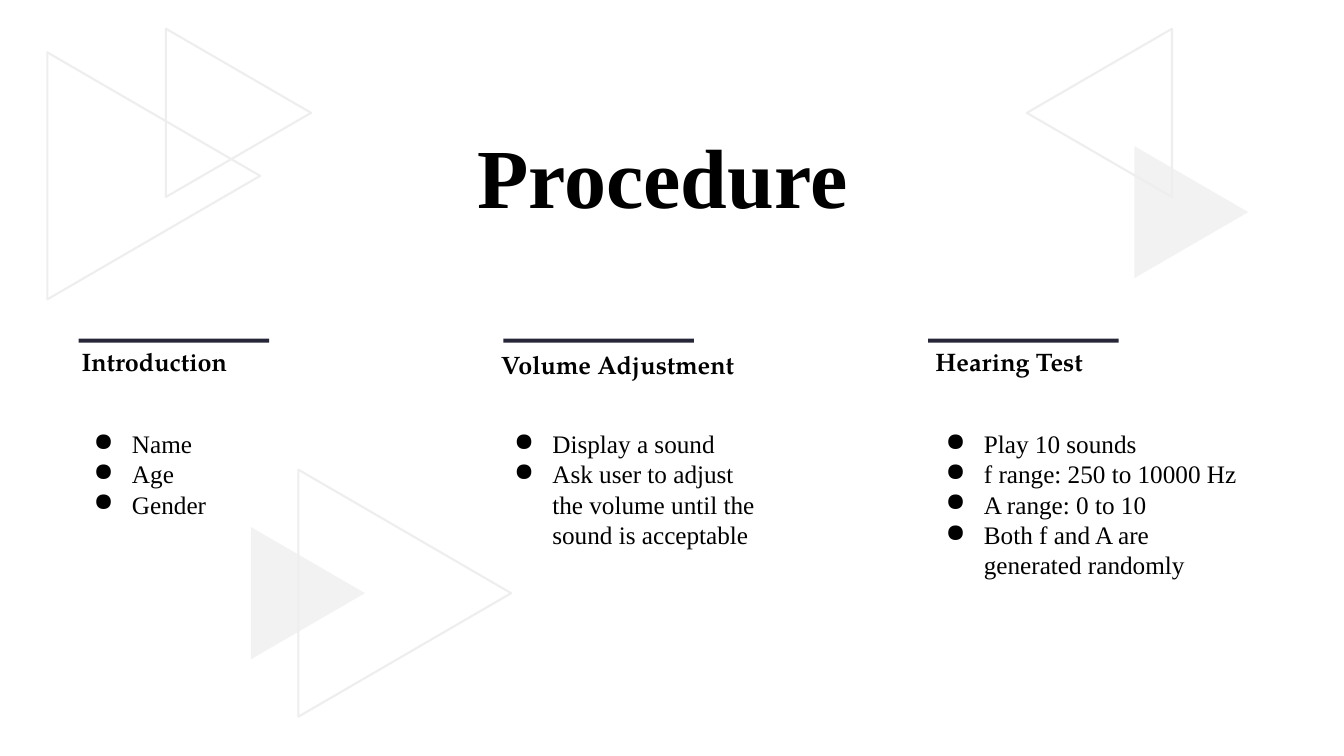
import dataclasses

import lxml.etree
import pptx
import pptx.dml.color
import pptx.enum.shapes
import pptx.enum.text
import pptx.oxml.ns
import pptx.util

SLIDE_WIDTH = pptx.util.Inches(13.33)
SLIDE_HEIGHT = pptx.util.Inches(7.5)
SHAPES = pptx.enum.shapes.MSO_SHAPE
ALIGN = pptx.enum.text.PP_ALIGN


@dataclasses.dataclass(frozen=True)
class Theme:
    ink: str = "000000"
    bar: str = "252738"
    triangle_fill: str = "F2F2F2"
    triangle_line: str = "EEEEEE"
    serif: str = "Times New Roman"
    heading_font: str = "TeX Gyre Pagella"
    title_size: int = 60
    text_size: int = 18


THEME = Theme()

BAR_LEFT, BAR_PITCH = 5.85, 31.6

COLUMNS = [
    ("Introduction", (5.33, 45.2), (5.33, 19.88), ["Name", "Age", "Gender"]),
    ("Volume Adjustment", (36.53, 45.6), (36.61, 20.93),
     ["Display a sound",
      "Ask user to adjust the volume until the sound is acceptable"]),
    ("Hearing Test", (68.87, 45.2), (68.72, 24.23),
     ["Play 10 sounds", "f range: 250 to 10000 Hz", "A range: 0 to 10",
      "Both f and A are generated randomly"]),
]

SMALL, MEDIUM, LARGE = (9.83, 15.07), (12.53, 19.2), (18.38, 28.13)

TRIANGLES = [
    ((83.72, 20.53), SMALL, 90, True),
    ((2.25, 9.2), LARGE, 90, False),
    ((11.48, 5.33), MEDIUM, 90, False),
    ((75.54, 5.33), MEDIUM, 270, False),
    ((18, 70.93), SMALL, 90, True),
    ((20.93, 64.4), LARGE, 90, False),
]


def color(value):
    return pptx.dml.color.RGBColor.from_string(value)


def percent_box(left, top, width, height):
    return (int(SLIDE_WIDTH * left / 100), int(SLIDE_HEIGHT * top / 100),
            int(SLIDE_WIDTH * width / 100), int(SLIDE_HEIGHT * height / 100))


def add_bullet(paragraph):
    properties = paragraph._p.get_or_add_pPr()
    properties.set("marL", str(pptx.util.Inches(0.5)))
    properties.set("indent", str(pptx.util.Inches(-0.38)))
    bullet_color = lxml.etree.SubElement(properties, pptx.oxml.ns.qn("a:buClr"))
    lxml.etree.SubElement(bullet_color, pptx.oxml.ns.qn("a:srgbClr"), val=THEME.ink)
    lxml.etree.SubElement(properties, pptx.oxml.ns.qn("a:buChar"), char="●")


def write_text(shape, lines, font=THEME.serif, size=THEME.text_size, bold=False,
               align=ALIGN.LEFT, bullets=False, inset=0.05):
    frame = shape.text_frame
    frame.word_wrap = True
    frame.auto_size = pptx.enum.text.MSO_AUTO_SIZE.NONE
    frame.vertical_anchor = pptx.enum.text.MSO_ANCHOR.TOP
    frame.margin_left = frame.margin_right = pptx.util.Inches(0.1)
    frame.margin_top = frame.margin_bottom = pptx.util.Inches(inset)
    frame.text = "\n".join(lines)
    for paragraph in frame.paragraphs:
        paragraph.alignment = align
        if bullets:
            add_bullet(paragraph)
        for run in paragraph.runs:
            run.font.name = font
            run.font.size = pptx.util.Pt(size)
            run.font.bold = bold
            run.font.color.rgb = color(THEME.ink)


def add_plain_shape(slide, kind, box, fill=None, line=None):
    shape = slide.shapes.add_shape(kind, *percent_box(*box))
    shape.shadow.inherit = False
    if fill:
        shape.fill.solid()
        shape.fill.fore_color.rgb = color(fill)
    else:
        shape.fill.background()
    if line:
        shape.line.color.rgb = color(line)
        shape.line.width = pptx.util.Pt(1.5)
    else:
        shape.line.fill.background()
    return shape


def add_triangle(slide, position, size, rotation, filled):
    paint = {"fill": THEME.triangle_fill} if filled else {"line": THEME.triangle_line}
    triangle = add_plain_shape(slide, SHAPES.ISOSCELES_TRIANGLE,
                               (*position, *size), **paint)
    triangle.rotation = rotation


def add_column(slide, index, heading, heading_position, body_span, items):
    add_plain_shape(slide, SHAPES.RECTANGLE,
                    (BAR_LEFT + index * BAR_PITCH, 44.8, 14.18, 0.53), fill=THEME.bar)
    heading_box = slide.shapes.add_textbox(*percent_box(*heading_position, 23.03, 9.47))
    write_text(heading_box, [heading], font=THEME.heading_font, bold=True)
    left, width = body_span
    body_box = slide.shapes.add_textbox(*percent_box(left, 56, width, 20.13))
    write_text(body_box, items, bullets=True)


def set_title(slide, text):
    title = slide.shapes.title
    title.left, title.top, title.width, title.height = percent_box(25.96, 15.07, 46.66, 26)
    write_text(title, [text], size=THEME.title_size, bold=True,
               align=ALIGN.CENTER, inset=0.1)


def main():
    presentation = pptx.Presentation()
    presentation.slide_width = SLIDE_WIDTH
    presentation.slide_height = SLIDE_HEIGHT
    slide = presentation.slides.add_slide(presentation.slide_layouts.get_by_name("Title Only"))
    set_title(slide, "Procedure")
    for index, column in enumerate(COLUMNS):
        add_column(slide, index, *column)
    for triangle in TRIANGLES:
        add_triangle(slide, *triangle)
    presentation.save("out.pptx")


if __name__ == "__main__":
    main()
